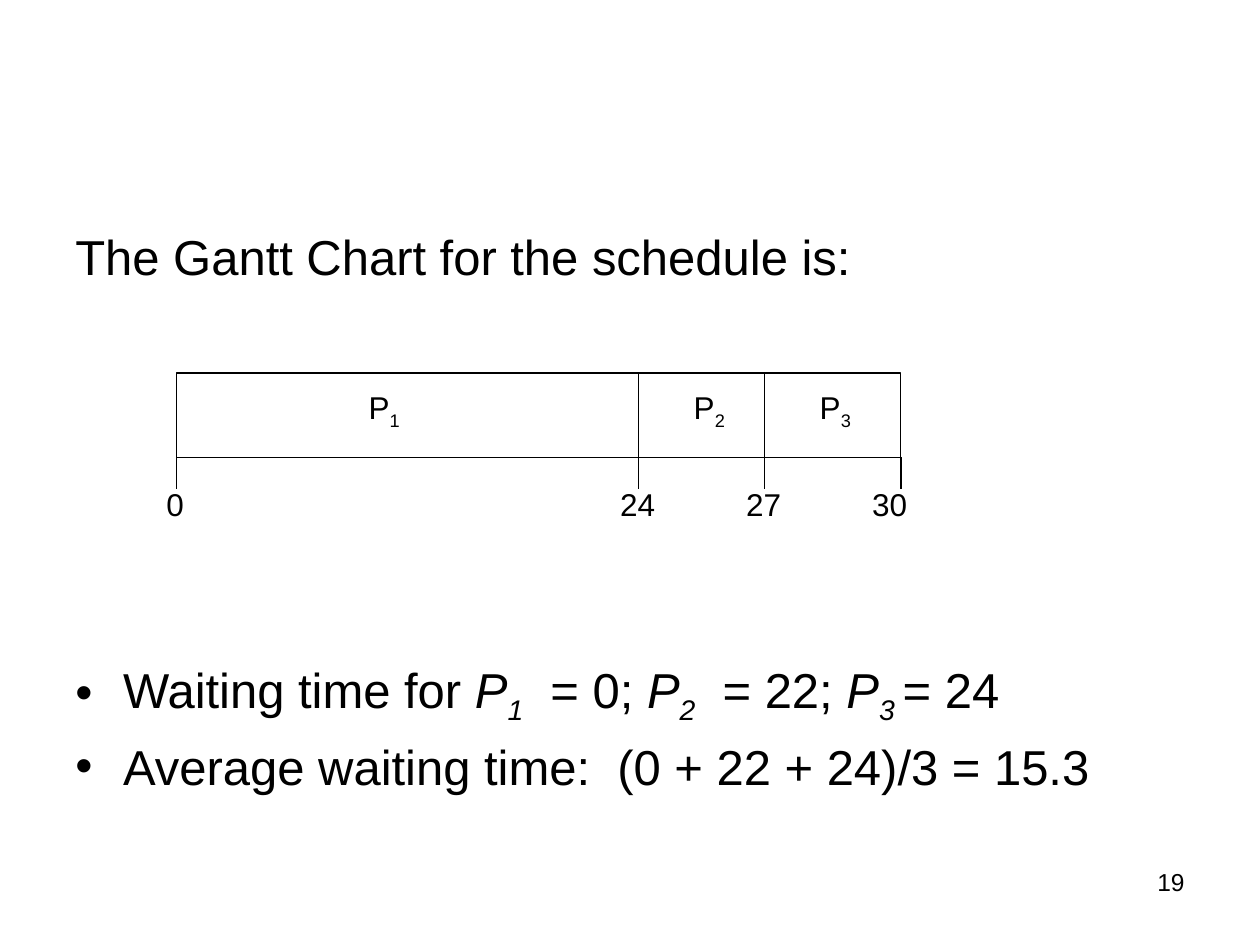
from pptx import Presentation, util as u
from pptx.dml.color import RGBColor
from pptx.enum import shapes, text
from lxml import etree

BLACK = RGBColor(0, 0, 0)
WHITE = RGBColor(255, 255, 255)
A = "{http://schemas.openxmlformats.org/drawingml/2006/main}"
LEFT, CENTER, RIGHT = (text.PP_ALIGN.LEFT, text.PP_ALIGN.CENTER,
                       text.PP_ALIGN.RIGHT)

prs = Presentation()
prs.slide_width, prs.slide_height = u.Inches(10), u.Inches(7.5)
slide = prs.slides.add_slide(prs.slide_layouts[6])


def write(para, parts, size=18, align=LEFT, before=0, after=0, bullet=None):
    """Fill a paragraph; each part is (words, style), style from 'i' and '_'."""
    para.alignment = align
    para.space_before, para.space_after = u.Pt(before), u.Pt(after)
    if bullet:
        props = para._p.get_or_add_pPr()
        props.set("marL", str(u.Inches(0.38)))
        props.set("indent", str(-u.Inches(0.38)))
        etree.SubElement(props, A + "buFont").set("typeface", "Arial")
        etree.SubElement(props, A + "buChar").set("char", bullet)
    for words, style in parts:
        run = para.add_run()
        run.text = words
        font = run.font
        font.name, font.size, font.italic = "Arial", u.Pt(size), "i" in style
        font.color.rgb = BLACK
        if "_" in style:
            run._r.get_or_add_rPr().set("baseline", "-25000")


def frame(x, y, w, h, wrap=True, anchor=text.MSO_ANCHOR.TOP):
    box = slide.shapes.add_textbox(*map(u.Inches, (x, y, w, h)))
    box.text_frame.word_wrap = wrap
    box.text_frame.vertical_anchor = anchor
    return box.text_frame


# Heading and bullets
body = frame(0.5, 1.75, 9, 4.95)
write(body.paragraphs[0], [("The Gantt Chart for the schedule is:", "")],
      size=28, before=5.6, after=208)
waits = [("Waiting time for ", ""),
         ("P", "i"), ("1", "i_"), ("  = 0; ", ""),
         ("P", "i"), ("2", "i_"), ("  = 22; ", ""),
         ("P", "i"), ("3 ", "i_"), ("= 24", "")]
mean = [("Average waiting time:  (0 + 22 + 24)/3 = 15.3", "")]
for parts in (waits, mean):
    write(body.add_paragraph(), parts, size=28, before=5.6, bullet="•")

# Gantt bar
X, TOP, BASE, TICK = 1.4, 2.96, 3.63, 3.88
WIDE = 5.75
bar = slide.shapes.add_shape(shapes.MSO_SHAPE.RECTANGLE, *map(
    u.Inches, (X, TOP, WIDE, BASE - TOP)))
bar.shadow.inherit = False
bar.fill.solid()
bar.fill.fore_color.rgb = WHITE
bar.line.color.rgb = BLACK
bar.line.width = u.Pt(0.75)

# Process names
for num, mid in enumerate((3.05, 5.63, 6.63), 1):
    name = frame(mid - 0.23, 3.05, 0.46, 0.4, False, text.MSO_ANCHOR.MIDDLE)
    write(name.paragraphs[0], [("P", ""), (str(num), "_")], align=CENTER)

# Ticks, dividers and times: time, tick place, label centre, label width
marks = [(0, X, 1.39, 0.34), (24, 5.07, 5.06, 0.48),
         (27, 6.07, 6.06, 0.48), (30, X + WIDE, 7.06, 0.48)]
for time, x, mid, wide in marks:
    start = TOP if time in (24, 27) else BASE
    line = slide.shapes.add_connector(shapes.MSO_CONNECTOR.STRAIGHT, *map(
        u.Inches, (x, start, x, TICK)))
    line.line.color.rgb = BLACK
    line.line.width = u.Pt(0.75)
    etree.SubElement(line._element.spPr, A + "effectLst")
    label = frame(mid - wide / 2, 3.8, wide, 0.4, False,
                  text.MSO_ANCHOR.MIDDLE)
    write(label.paragraphs[0], [(str(time), "")], align=CENTER)

# Slide number
page = frame(7.17, 6.83, 2.33, 0.52)
write(page.paragraphs[0], [("19", "")], size=14, align=RIGHT)

prs.save("out.pptx")
